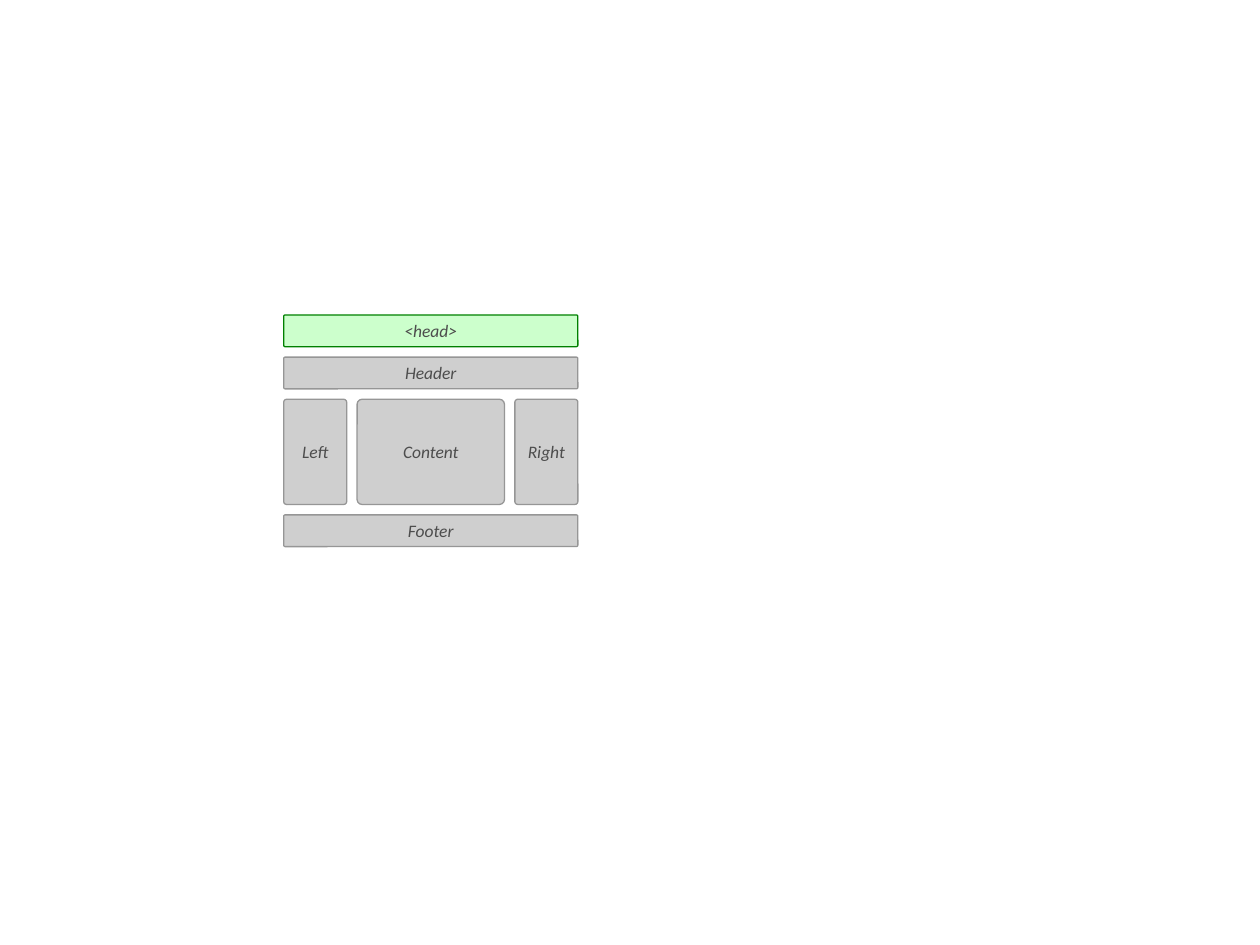
import pptx
import pptx.dml.color
import pptx.enum.shapes
import pptx.enum.text
import pptx.util

Cm = pptx.util.Cm
Pt = pptx.util.Pt
RGBColor = pptx.dml.color.RGBColor

GRAY = RGBColor(0xCF, 0xCF, 0xCF)
EDGE = RGBColor(0x96, 0x96, 0x96)
MINT = RGBColor(0xCC, 0xFF, 0xCC)
GREEN = RGBColor(0x00, 0x80, 0x00)
INK = RGBColor(0x4D, 0x4D, 0x4D)

LEFT, TOP = 5.72, 6.35
WIDTH = 5.93
GAP = 0.21
BAR = 0.64
BODY = 2.12
SIDE = 1.27
MIDDLE = WIDTH - 2 * (SIDE + GAP)


def add_box(slide, label, left, top, width, height, fill=GRAY, line=EDGE):
    box = slide.shapes.add_shape(
        pptx.enum.shapes.MSO_SHAPE.ROUNDED_RECTANGLE,
        Cm(left), Cm(top), Cm(width), Cm(height))
    box.adjustments[0] = 0.046
    box.shadow.inherit = False
    box.fill.solid()
    box.fill.fore_color.rgb = fill
    box.line.color.rgb = line
    box.line.width = Pt(0.75)

    frame = box.text_frame
    frame.text = label
    frame.word_wrap = False
    frame.vertical_anchor = pptx.enum.text.MSO_ANCHOR.MIDDLE
    text = frame.paragraphs[0]
    text.alignment = pptx.enum.text.PP_ALIGN.CENTER
    font = text.runs[0].font
    font.name = "Calibri"
    font.size = Pt(10)
    font.italic = True
    font.color.rgb = INK


def add_row(slide, top, height, cells, **colors):
    """Place (label, width) cells from left to right; return the next top."""
    left = LEFT
    for label, width in cells:
        add_box(slide, label, left, top, width, height, **colors)
        left += width + GAP
    return top + height + GAP


def main():
    deck = pptx.Presentation()
    deck.slide_width = Cm(25.4)
    deck.slide_height = Cm(19.05)
    slide = deck.slides.add_slide(deck.slide_layouts[6])

    top = add_row(slide, TOP, BAR, [("<head>", WIDTH)], fill=MINT, line=GREEN)
    top = add_row(slide, top, BAR, [("Header", WIDTH)])
    columns = [("Left", SIDE), ("Content", MIDDLE), ("Right", SIDE)]
    top = add_row(slide, top, BODY, columns)
    add_row(slide, top, BAR, [("Footer", WIDTH)])

    deck.save("out.pptx")


if __name__ == "__main__":
    main()
